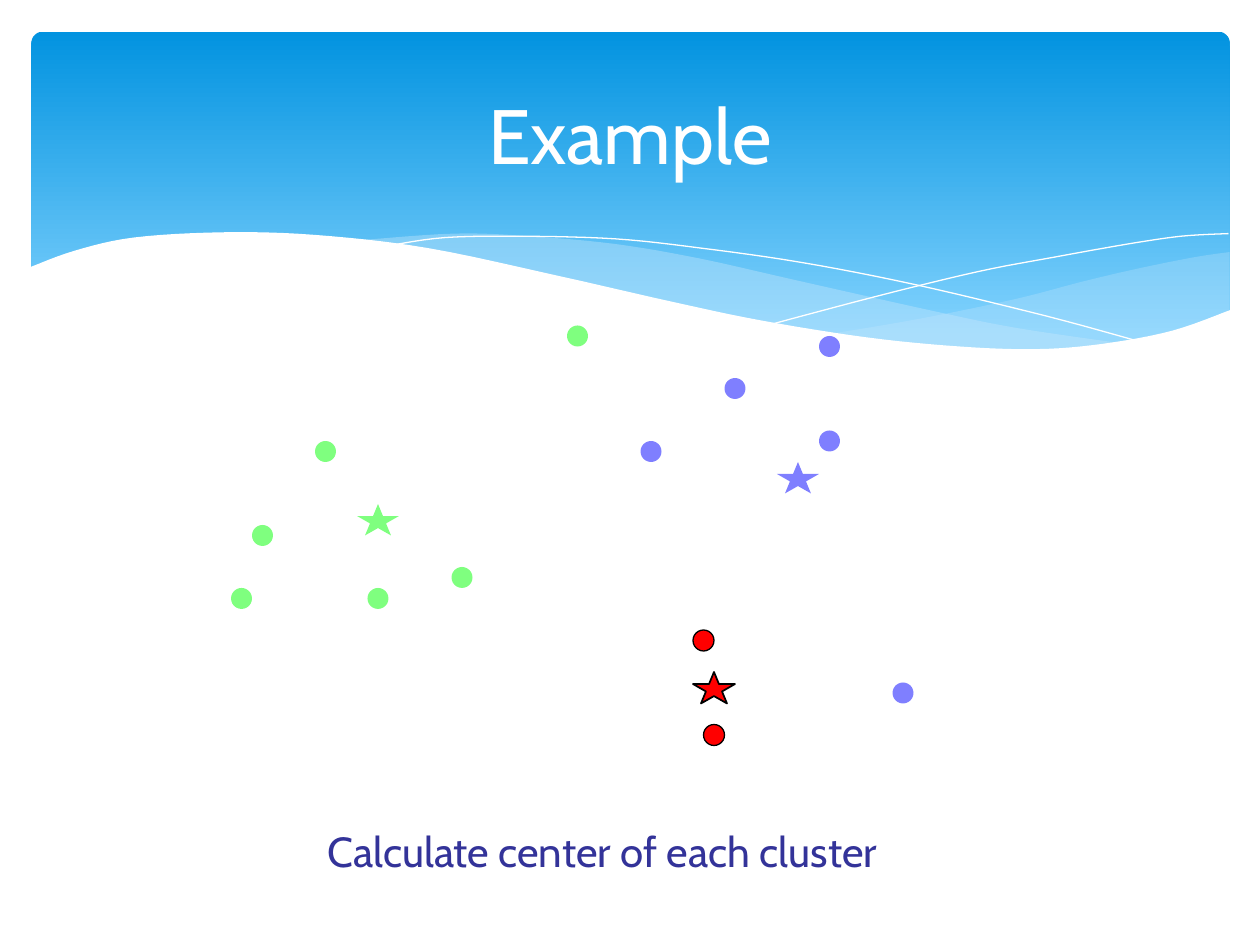
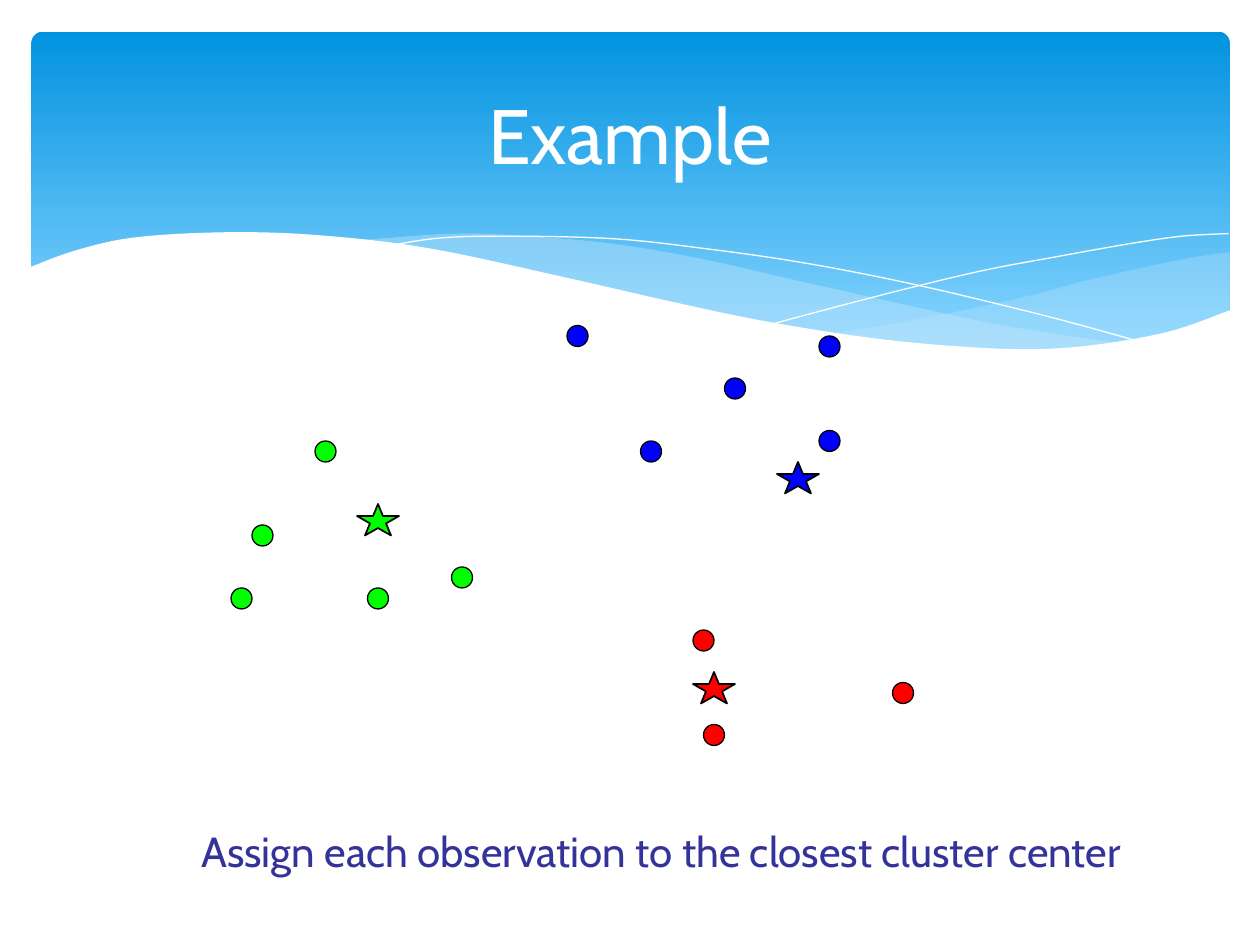
from collections import namedtuple

from lxml.etree import SubElement
from pptx import Presentation
from pptx.dml.color import RGBColor
from pptx.enum.shapes import MSO_SHAPE
from pptx.enum.text import MSO_ANCHOR, PP_ALIGN
from pptx.oxml.ns import qn
from pptx.util import Pt

Box = namedtuple("Box", "left top width height")

PX = 9525  # EMU per px, 96 px to the inch
FONT = "Cabin"
COLORS = {
    "band_top": "0293E0",
    "band_bottom": "83D3FE",
    "wave": "C6E7FC",
    "white": "FFFFFF",
    "caption": "333399",
    "outline": "000000",
    "green": "00FF00",
    "blue": "0000FF",
    "red": "FF0000",
}

BAND_BOX = Box(24, 24, 913, 259)
TITLE_BOX = Box(48, 36, 864, 132)
PLOT_BOX = Box(176, 248, 520, 320)

# Wave edges as knots of smooth curves, in px on the slide
RIGHT_WAVE = [
    [(635, 254), (700, 243), (773, 228), (827, 214), (870, 204), (910, 196), (937, 192)],
    [(937, 237), (904, 249), (861, 259), (810, 266), (760, 266), (703, 263), (635, 254)],
]
MIDDLE_WAVE = [
    [(857, 262), (775, 250), (711, 237), (604, 213), (533, 197), (469, 186),
     (403, 180), (347, 178), (275, 183)],
    [(275, 183), (348, 195), (431, 213), (509, 230), (577, 245), (653, 257),
     (718, 265), (785, 267), (857, 262)],
]
FALLING_LINE = [(297, 187), (339, 181), (399, 180), (469, 182), (534, 189),
                (611, 200), (698, 217), (798, 241), (871, 261)]
RISING_LINE = [(588, 247), (667, 226), (745, 207), (803, 196), (859, 186),
               (900, 180), (936, 178)]
WHITE_WAVE = [
    [(22, 204), (57, 191), (102, 181), (170, 177), (240, 179), (326, 189),
     (429, 211), (508, 229), (579, 244), (660, 257), (731, 264), (790, 266),
     (840, 262), (893, 252), (938, 236)],
    [(938, 316), (22, 316)],
]

# Observations and cluster centers, in px from the corner of the plot
DOT_SIZE = (16, 16)
STAR_SIZE = (32, 24)
OBSERVATIONS = {
    "green": [(16, 152), (64, 88), (104, 200), (0, 200), (168, 184)],
    "blue": [(448, 8), (312, 88), (376, 40), (448, 80)],
    "red": [(360, 304), (352, 232)],
}
CENTERS = {"green": (96, 136), "red": (352, 264), "blue": (416, 104)}
TOP_OBSERVATION = (256, 0)
RIGHT_OBSERVATION = (504, 272)

# Caption, its box, clusters of the two changing observations, faded clusters
STEPS = [
    ("Calculate center of each cluster", Box(240, 624, 536, 48),
     {TOP_OBSERVATION: "green", RIGHT_OBSERVATION: "blue"}, ("green", "blue")),
    ("Assign each observation to the closest cluster center", Box(144, 624, 768, 48),
     {TOP_OBSERVATION: "blue", RIGHT_OBSERVATION: "red"}, ()),
]


def color(name):
    return RGBColor.from_string(COLORS[name])


def to_emu(*lengths):
    return [round(length * PX) for length in lengths]


def paint(shape, fill=None, line=None, line_width=0, opacity=100):
    """Give a shape a plain fill and line; None leaves either out."""
    shape.shadow.inherit = False
    if fill:
        shape.fill.solid()
        shape.fill.fore_color.rgb = color(fill)
        if opacity < 100:
            fill_color = shape.element.spPr.find(qn("a:solidFill"))[0]
            SubElement(fill_color, qn("a:alpha"), val=str(opacity * 1000))
    else:
        shape.fill.background()
    if line:
        shape.line.color.rgb = color(line)
        shape.line.width = Pt(line_width)
    else:
        shape.line.fill.background()


def write(paragraph, text, size, color_name):
    run = paragraph.add_run()
    run.text = text
    run.font.name = FONT
    run.font.size = Pt(size)
    run.font.color.rgb = color(color_name)


def smooth(knots, steps=6):
    """Return points on a Catmull-Rom curve through the knots."""
    padded = [knots[0], *knots, knots[-1]]
    points = [knots[0]]
    for a, b, c, d in zip(padded, padded[1:], padded[2:], padded[3:]):
        for step in range(1, steps + 1):
            t = step / steps
            points.append(tuple(
                0.5 * (2 * q + (r - p) * t + (2 * p - 5 * q + 4 * r - s) * t ** 2
                       + (3 * q - p - 3 * r + s) * t ** 3)
                for p, q, r, s in zip(a, b, c, d)))
    return points


def add_curve(slide, edges, closed=True):
    points = [to_emu(*point) for edge in edges for point in smooth(edge)]
    builder = slide.shapes.build_freeform(*points[0])
    builder.add_line_segments(points[1:], close=closed)
    return builder.convert_to_shape()


def add_band(slide, box):
    """Draw the header band with its waves and return the parts."""
    band = slide.shapes.add_shape(MSO_SHAPE.ROUNDED_RECTANGLE, *to_emu(*box))
    band.adjustments[0] = 0.034
    paint(band)
    band.fill.gradient()
    band.fill.gradient_angle = 270
    stops = zip(band.fill.gradient_stops, ("band_top", "band_bottom"), (0, 0.9))
    for stop, name, position in stops:
        stop.color.rgb = color(name)
        stop.position = position
    parts = [band]

    for edges, opacity in ((RIGHT_WAVE, 29), (MIDDLE_WAVE, 40)):
        wave = add_curve(slide, edges)
        paint(wave, "wave", opacity=opacity)
        parts.append(wave)
    for knots in (FALLING_LINE, RISING_LINE):
        curve = add_curve(slide, [knots], closed=False)
        paint(curve, line="white")
        parts.append(curve)
    white_wave = add_curve(slide, WHITE_WAVE)
    paint(white_wave, "white")
    return parts + [white_wave]


def move_to_layout(parts, layout):
    """Put the parts behind everything else on the layout."""
    for index, part in enumerate(parts):
        part.element.nvSpPr.cNvPr.set("id", str(100 + index))
        layout.shapes.element.insert(2 + index, part.element)


def set_title(slide, box, text):
    title = slide.shapes.title
    title.left, title.top, title.width, title.height = to_emu(*box)
    title.text_frame.vertical_anchor = MSO_ANCHOR.MIDDLE
    paragraph = title.text_frame.paragraphs[0]
    paragraph.alignment = PP_ALIGN.CENTER
    write(paragraph, text, 44, "white")


def add_plot(slide, box, changing, faded):
    """Draw the observations as dots and the cluster centers as stars."""
    def add_mark(kind, offset, size, cluster, line_width):
        mark = slide.shapes.add_shape(
            kind, *to_emu(box.left + offset[0], box.top + offset[1], *size))
        if cluster in faded:
            paint(mark, cluster, opacity=50)
        else:
            paint(mark, cluster, "outline", line_width)

    dots = [(offset, cluster) for cluster, offsets in OBSERVATIONS.items()
            for offset in offsets]
    for offset, cluster in dots + list(changing.items()):
        add_mark(MSO_SHAPE.OVAL, offset, DOT_SIZE, cluster, 0.75)
    for cluster, offset in CENTERS.items():
        add_mark(MSO_SHAPE.STAR_5_POINT, offset, STAR_SIZE, cluster, 1)


def add_caption(slide, box, text):
    text_frame = slide.shapes.add_textbox(*to_emu(*box)).text_frame
    text_frame.word_wrap = True
    write(text_frame.paragraphs[0], text, 24, "caption")


def main():
    presentation = Presentation()
    presentation.slide_width, presentation.slide_height = to_emu(960, 720)
    layout = presentation.slide_layouts.get_by_name("Title Only")

    for number, (caption, caption_box, changing, faded) in enumerate(STEPS):
        slide = presentation.slides.add_slide(layout)
        if number == 0:
            move_to_layout(add_band(slide, BAND_BOX), layout)
        set_title(slide, TITLE_BOX, "Example")
        add_plot(slide, PLOT_BOX, changing, faded)
        add_caption(slide, caption_box, caption)

    presentation.save("out.pptx")


if __name__ == "__main__":
    main()
